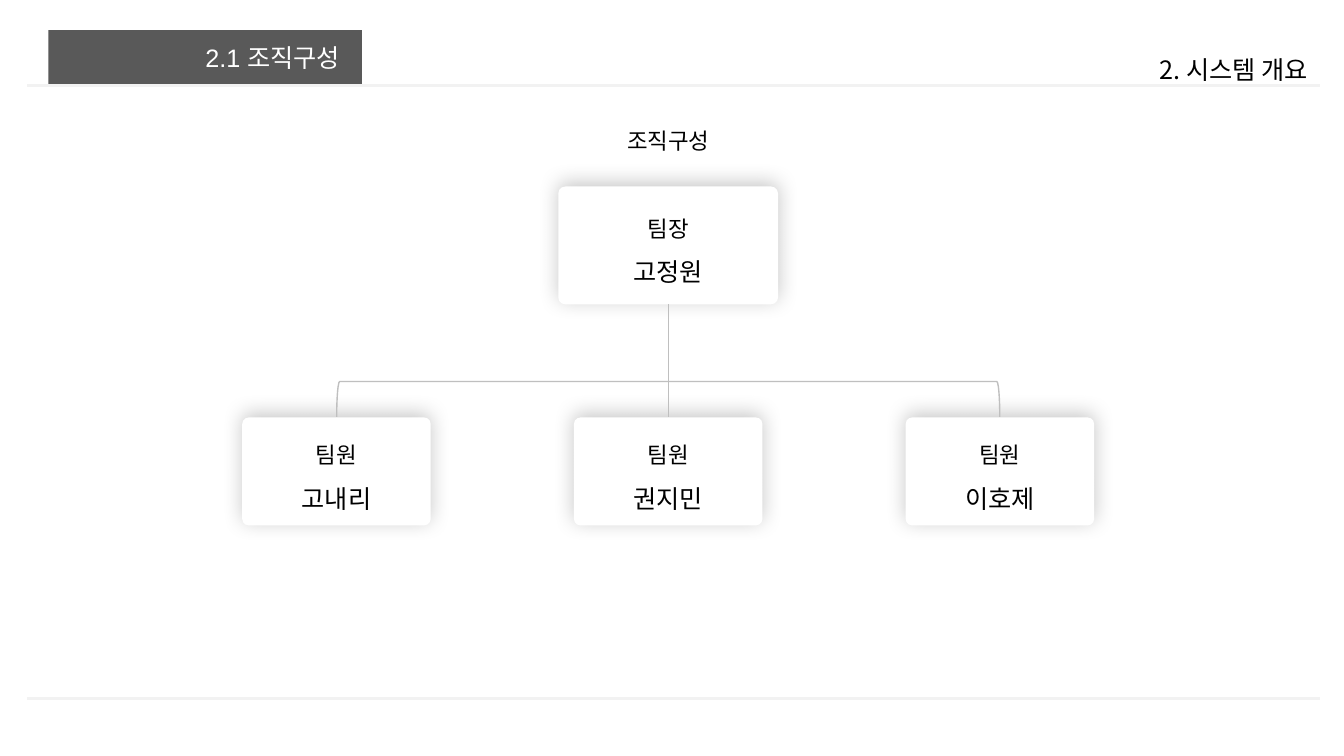
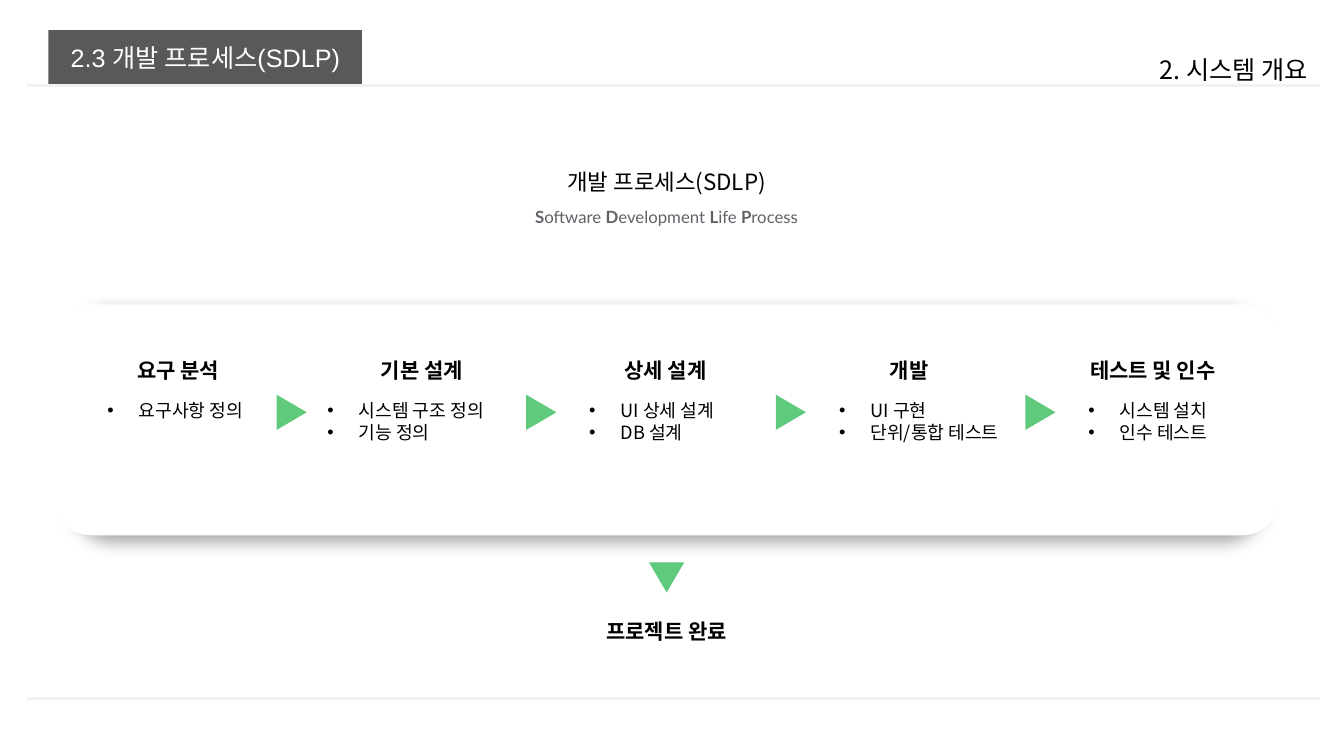
from dataclasses import dataclass

from lxml.etree import SubElement
from pptx import Presentation
from pptx.dml.color import RGBColor
from pptx.enum.shapes import MSO_CONNECTOR, MSO_SHAPE
from pptx.enum.text import MSO_ANCHOR, MSO_AUTO_SIZE, PP_ALIGN
from pptx.oxml.ns import qn
from pptx.util import Cm, Pt


@dataclass(frozen=True)
class Theme:
    ink: str = "000000"
    paper: str = "FFFFFF"
    band: str = "595959"
    rule: str = "F2F2F2"
    branch: str = "BFBFBF"
    accent: str = "5FCA7C"
    muted: str = "5F6368"
    latin: str = "Arial"
    korean: str = "Noto Sans CJK KR"
    caption: str = "Lato"
    title: int = 18
    heading: int = 16
    step: int = 15
    task: int = 13
    small: int = 12


THEME = Theme()
CHAPTER = "2. 시스템 개요"

TEAM_TITLE = "2.1 조직구성"
TEAM_HEADING = "조직구성"
LEADER = ("팀장", "고정원")
MEMBERS = [("팀원", "고내리"), ("팀원", "권지민"), ("팀원", "이호제")]

PROCESS_TITLE = "2.3 개발 프로세스(SDLP)"
PROCESS_HEADING = "개발 프로세스(SDLP)"
PROCESS_WORDS = ["Software", "Development", "Life", "Process"]
STEPS = [
    ("요구 분석", ["요구사항 정의"], 2.46, 4.27),
    ("기본 설계", ["시스템 구조 정의", "기능 정의"], 8.0, 5.0),
    ("상세 설계", ["UI 상세 설계", "DB 설계"], 14.6, 4.67),
    ("개발", ["UI 구현", "단위/통합 테스트"], 20.9, 4.67),
    ("테스트 및 인수", ["시스템 설치", "인수 테스트"], 27.18, 4.67),
]
OUTCOME = "프로젝트 완료"

CENTRE = 16.84
PROCESS_CENTRE = 16.8
CARD_SHADOW = dict(alpha=21, blur=15, dist=3, angle=270, scale=100)
PANEL_SHADOW = dict(alpha=36, blur=12, dist=4, angle=90, scale=97)


def color(value):
    return RGBColor.from_string(value)


def add_shadow(shape, alpha, blur, dist, angle, scale):
    effects = shape._element.spPr.find(qn("a:effectLst"))
    outer = SubElement(
        effects, qn("a:outerShdw"), blurRad=str(Pt(blur)), dist=str(Pt(dist)),
        dir=str(angle * 60000), sx=str(scale * 1000), sy="100000",
        algn="ctr", rotWithShape="0")
    black = SubElement(outer, qn("a:srgbClr"), val=THEME.ink)
    SubElement(black, qn("a:alpha"), val=str(alpha * 1000))


def add_block(slide, kind, left, top, width, height, fill=None, line=None,
              rotation=0, corner=None, shadow=None):
    block = slide.shapes.add_shape(kind, Cm(left), Cm(top), Cm(width), Cm(height))
    block.shadow.inherit = False
    block.rotation = rotation
    if fill:
        block.fill.solid()
        block.fill.fore_color.rgb = color(fill)
    else:
        block.fill.background()
    if line:
        block.line.color.rgb = color(line)
        block.line.width = Pt(1)
    else:
        block.line.fill.background()
    if corner is not None:
        block.adjustments[0] = corner
    if shadow:
        add_shadow(block, **shadow)


def add_line(slide, start, end, tone, weight):
    line = slide.shapes.add_connector(
        MSO_CONNECTOR.STRAIGHT, *(Cm(value) for value in (*start, *end)))
    line.line.color.rgb = color(tone)
    line.line.width = Pt(weight)
    SubElement(line._element.spPr, qn("a:effectLst"))


def run(text, size, font=THEME.korean, tone=THEME.ink, bold=False):
    return text, size, font, tone, bold


def add_text(slide, left, top, width, height, paragraphs, align=PP_ALIGN.CENTER,
             spacing=None, wrap=True, bullets=False, grow=True, anchor=MSO_ANCHOR.TOP):
    frame = slide.shapes.add_textbox(Cm(left), Cm(top), Cm(width), Cm(height)).text_frame
    frame.word_wrap = wrap
    frame.auto_size = MSO_AUTO_SIZE.SHAPE_TO_FIT_TEXT if grow else MSO_AUTO_SIZE.NONE
    frame.vertical_anchor = anchor
    for index, runs in enumerate(paragraphs):
        paragraph = frame.add_paragraph() if index else frame.paragraphs[0]
        paragraph.alignment = align
        if spacing:
            paragraph.line_spacing = spacing
        if bullets:
            properties = paragraph._p.get_or_add_pPr()
            properties.set("marL", str(Cm(0.79)))
            properties.set("indent", str(-Cm(0.79)))
            SubElement(properties, qn("a:buFont"), typeface=THEME.latin)
            SubElement(properties, qn("a:buChar"), char="•")
        for text, size, font, tone, bold in runs:
            part = paragraph.add_run()
            part.text = text
            part.font.size = Pt(size)
            part.font.name = font
            part.font.bold = bold
            part.font.color.rgb = color(tone)
            SubElement(part._r.get_or_add_rPr(), qn("a:ea"), typeface=THEME.korean)


def add_frame(slide, title):
    add_block(slide, MSO_SHAPE.RECTANGLE, 1.22, 0.76, 7.9, 1.4, THEME.band)
    for height in (2.16, 17.6):
        add_line(slide, (0.69, height), (33.27, height), THEME.rule, 2.25)
    add_text(slide, 1.12, 0.97, 7.7, 0.99,
             [[run(title, THEME.title, THEME.latin, THEME.paper)]],
             PP_ALIGN.RIGHT, spacing=0.9, grow=False, anchor=MSO_ANCHOR.BOTTOM)
    add_text(slide, 28.98, 1.24, 4.9, 1.02, [[run(CHAPTER, THEME.title)]],
             PP_ALIGN.LEFT, wrap=False)


def add_card(slide, person, centre, top, width, height, text_width, text_offset):
    role, name = person
    add_block(slide, MSO_SHAPE.ROUNDED_RECTANGLE, centre - width / 2, top, width, height,
              THEME.paper, corner=0.06, shadow=CARD_SHADOW)
    add_text(slide, centre - text_width / 2, top + text_offset, text_width, 2.3,
             [[run(role, THEME.heading, THEME.latin)],
              [run(name, THEME.title, THEME.latin)]], spacing=1.5)


def add_arrow(slide, centre, middle, rotation):
    width, height = 0.89, 0.76
    add_block(slide, MSO_SHAPE.ISOSCELES_TRIANGLE, centre - width / 2,
              middle - height / 2, width, height, THEME.accent, rotation=rotation)


def build_team(slide):
    add_frame(slide, TEAM_TITLE)
    add_card(slide, LEADER, CENTRE, 4.7, 5.54, 2.97, 4.98, 0.25)
    for index, member in enumerate(MEMBERS):
        centre = CENTRE + (index - (len(MEMBERS) - 1) / 2) * 8.36
        add_card(slide, member, centre, 10.52, 4.75, 2.72, 3.66, 0.13)
    add_line(slide, (CENTRE, 7.67), (CENTRE, 10.52), THEME.branch, 1)
    depth, span = 0.89, 16.71
    add_block(slide, MSO_SHAPE.LEFT_BRACKET, CENTRE - depth / 2, 10.06 - span / 2,
              depth, span, line=THEME.branch, rotation=90)
    add_text(slide, CENTRE - 3.23, 3.07, 6.46, 1.63,
             [[run(TEAM_HEADING, THEME.heading)]])


def build_process(slide):
    add_block(slide, MSO_SHAPE.ROUNDED_RECTANGLE, 1.35, 7.67, 30.91, 5.82,
              THEME.paper, shadow=PANEL_SHADOW)
    add_frame(slide, PROCESS_TITLE)
    add_text(slide, PROCESS_CENTRE - 4.1, 4.11, 8.2, 0.94,
             [[run(PROCESS_HEADING, THEME.heading)]])
    expansion = []
    for index, word in enumerate(PROCESS_WORDS):
        gap = " " if index < len(PROCESS_WORDS) - 1 else ""
        expansion += [run(word[0], THEME.small, THEME.caption, THEME.muted, True),
                      run(word[1:] + gap, THEME.small, THEME.caption, THEME.muted)]
    add_text(slide, PROCESS_CENTRE - 3.81, 5.08, 7.62, 0.76, [expansion])
    for index, (step, tasks, left, width) in enumerate(STEPS):
        add_text(slide, 1.7 + index * 6.14, 8.89, 5.59, 0.89,
                 [[run(step, THEME.step, bold=True)]])
        add_text(slide, left, 9.93, width, 0.25 + 0.56 * len(tasks),
                 [[run(task, THEME.task)] for task in tasks],
                 PP_ALIGN.LEFT, bullets=True)
        if index:
            add_arrow(slide, 7.35 + (index - 1) * 6.29, 10.39, 90)
    add_arrow(slide, PROCESS_CENTRE, 14.55, 180)
    add_text(slide, PROCESS_CENTRE - 2.8, 15.47, 5.6, 0.89,
             [[run(OUTCOME, THEME.step, bold=True)]])


def main():
    deck = Presentation()
    deck.slide_width, deck.slide_height = Cm(33.87), Cm(19.05)
    for build in (build_team, build_process):
        build(deck.slides.add_slide(deck.slide_layouts[6]))
    deck.save("out.pptx")


if __name__ == "__main__":
    main()
